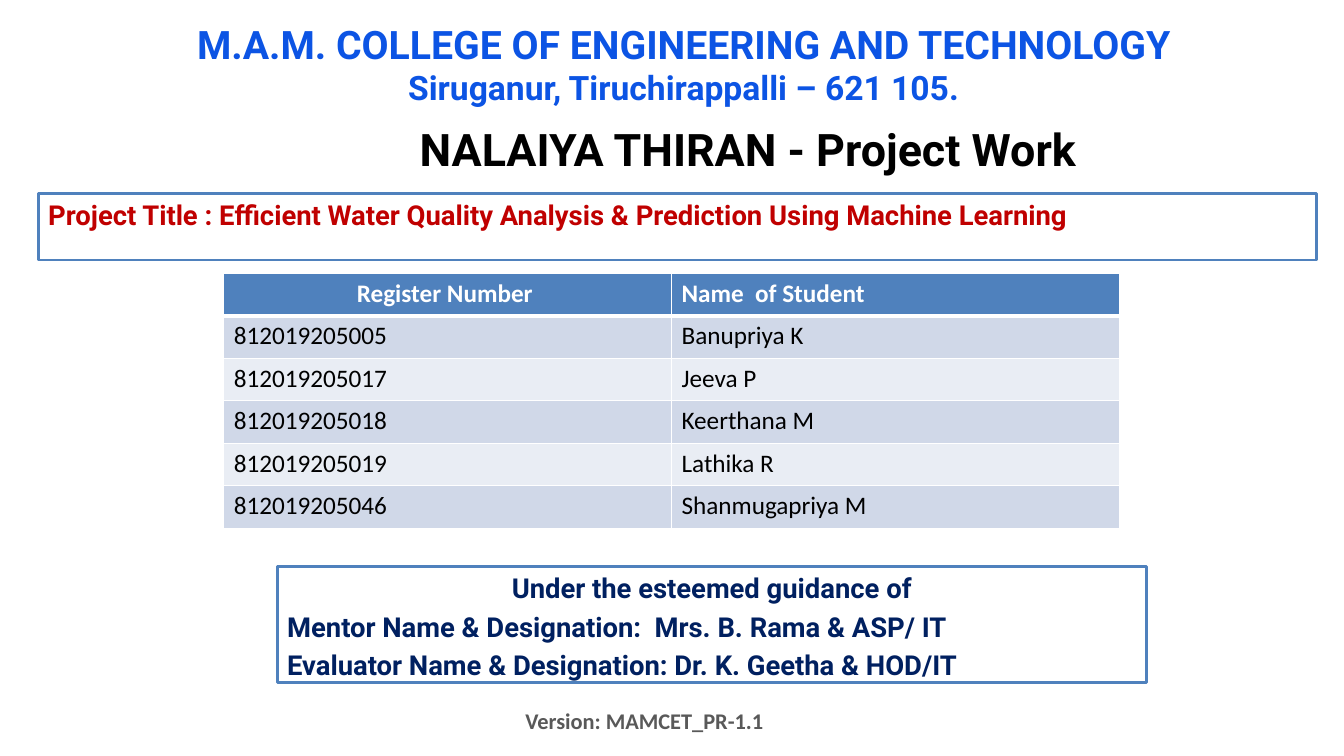
from dataclasses import dataclass

from lxml.etree import SubElement
from pptx import Presentation
from pptx.dml.color import RGBColor
from pptx.enum.shapes import MSO_SHAPE
from pptx.enum.text import MSO_ANCHOR, PP_ALIGN
from pptx.oxml.ns import qn
from pptx.slide import Slide
from pptx.table import _Cell
from pptx.text.text import TextFrame, _Paragraph
from pptx.util import Emu, Pt

PX = 9144  # 100 px to the inch
WHITE, BLACK, BLUE = "FFFFFF", "000000", "4F81BD"
BANDS = ("D0D8E8", "E9EDF4")
LEFT, CENTER, RIGHT = PP_ALIGN.LEFT, PP_ALIGN.CENTER, PP_ALIGN.RIGHT

STUDENTS = [
    ("812019205005", "Banupriya K"),
    ("812019205017", "Jeeva P"),
    ("812019205018", "Keerthana M"),
    ("812019205019", "Lathika R"),
    ("812019205046", "Shanmugapriya M"),
]


@dataclass(frozen=True)
class Line:
    text: str
    size: float
    color: str
    font: str = "Roboto"
    bold: bool = True
    align: PP_ALIGN = LEFT
    before: float = 0


@dataclass(frozen=True)
class Block:
    """A text block; without an outline it is a plain text box."""
    box: tuple[int, int, int, int]
    lines: tuple[Line, ...]
    outline: str | None = None
    outline_width: float = 2
    anchor: MSO_ANCHOR = MSO_ANCHOR.TOP


def guidance_line(text: str, align: PP_ALIGN = LEFT) -> Line:
    return Line(text, 19.6, "002060", align=align, before=4)


BLOCKS = [
    Block((242, 105, 1000, 85),
          (Line("NALAIYA THIRAN - Project Work", 32, BLACK, align=CENTER),),
          anchor=MSO_ANCHOR.MIDDLE),
    Block((500, 697, 267, 37),
          (Line("Version: MAMCET_PR-1.1", 16, "595959", "Calibri", align=RIGHT),)),
    Block((128, 15, 1100, 108),
          (Line("M.A.M. COLLEGE OF ENGINEERING AND TECHNOLOGY", 28, "0C54E4", align=CENTER),
           Line("Siruganur, Tiruchirappalli – 621 105.", 24, "0C54E4", align=CENTER)),
          WHITE, 0.75),
    Block((38, 192, 1268, 66),
          (Line("Project Title : Efficient Water Quality Analysis & Prediction "
                "Using Machine Learning", 19.6, "C00000", before=4),),
          BLUE),
    Block((275, 562, 862, 115),
          (guidance_line("Under the esteemed guidance of", CENTER),
           guidance_line("Mentor Name & Designation:  Mrs. B. Rama & ASP/ IT"),
           guidance_line("Evaluator Name & Designation: Dr. K. Geetha & HOD/IT")),
          BLUE),
]


def px(length: int) -> Emu:
    return Emu(length * PX)


def rgb(color: str) -> RGBColor:
    return RGBColor.from_string(color)


def write_line(paragraph: _Paragraph, line: Line) -> None:
    paragraph.alignment = line.align
    paragraph.space_before = Pt(line.before)
    run = paragraph.add_run()
    run.text = line.text
    run.font.name = line.font
    run.font.size = Pt(line.size)
    run.font.bold = line.bold
    run.font.color.rgb = rgb(line.color)


def write_lines(frame: TextFrame, lines: tuple[Line, ...]) -> None:
    for index, line in enumerate(lines):
        write_line(frame.add_paragraph() if index else frame.paragraphs[0], line)


def draw_block(slide: Slide, block: Block) -> None:
    box = [px(length) for length in block.box]
    if block.outline is None:
        shape = slide.shapes.add_textbox(*box)
    else:
        shape = slide.shapes.add_shape(MSO_SHAPE.RECTANGLE, *box)
        shape.shadow.inherit = False
        shape.fill.solid()
        shape.fill.fore_color.rgb = rgb(WHITE)
        shape.line.color.rgb = rgb(block.outline)
        shape.line.width = Pt(block.outline_width)
    frame = shape.text_frame
    frame.word_wrap = True
    frame.vertical_anchor = block.anchor
    write_lines(frame, block.lines)


def draw_cell(cell: _Cell, line: Line, fill: str, top: int, bottom: int) -> None:
    """Fill a cell and rule it in white; top and bottom are line widths in points."""
    properties = cell._tc.get_or_add_tcPr()
    for side, width in (("L", 1), ("R", 1), ("T", top), ("B", bottom)):
        border = SubElement(properties, qn(f"a:ln{side}"), w=str(Pt(width)))
        SubElement(SubElement(border, qn("a:solidFill")), qn("a:srgbClr"), val=WHITE)
    cell.fill.solid()
    cell.fill.fore_color.rgb = rgb(fill)
    write_lines(cell.text_frame, (line,))


def draw_students(slide: Slide) -> None:
    row_count = len(STUDENTS) + 1
    left, top, width, height = (px(length) for length in (222, 271, 888, 253))
    table = slide.shapes.add_table(row_count, 2, left, top, width, height).table
    headings = (Line("Register Number ", 18, WHITE, "Calibri", align=CENTER),
                Line("Name  of Student", 18, WHITE, "Calibri"))
    for column, heading in enumerate(headings):
        draw_cell(table.cell(0, column), heading, BLUE, 1, 3)
    for row, student in enumerate(STUDENTS, start=1):
        for column, text in enumerate(student):
            draw_cell(table.cell(row, column), Line(text, 18, BLACK, "Calibri", False),
                      BANDS[(row - 1) % 2], 3 if row == 1 else 1, 1)


def main() -> None:
    presentation = Presentation()
    presentation.slide_width, presentation.slide_height = px(1333), px(750)
    slide = presentation.slides.add_slide(presentation.slide_layouts[6])
    for block in BLOCKS:
        draw_block(slide, block)
    draw_students(slide)
    presentation.save("out.pptx")


if __name__ == "__main__":
    main()
